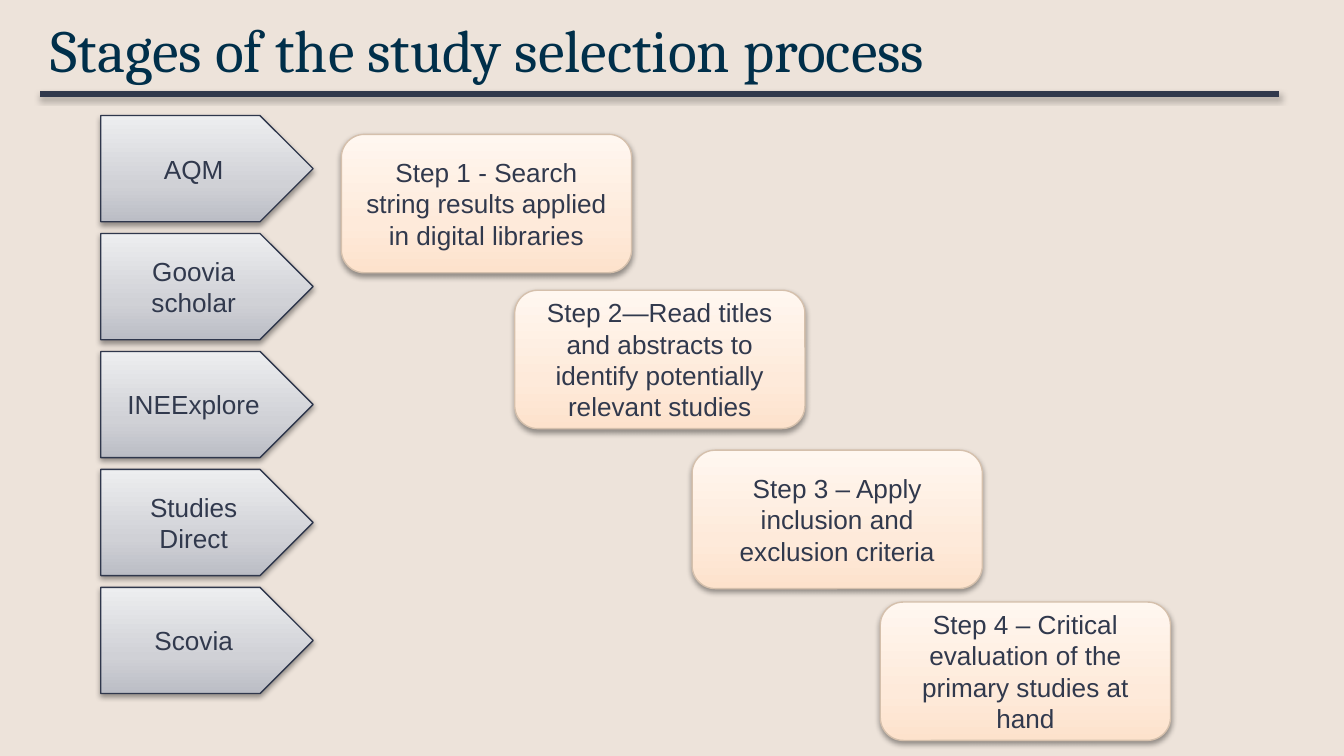
import pptx
import pptx.dml.color
import pptx.enum.shapes
import pptx.enum.text
import pptx.oxml.ns
import pptx.util
from lxml import etree

Inches = pptx.util.Inches
Pt = pptx.util.Pt
SHAPE = pptx.enum.shapes.MSO_SHAPE
ALIGN = pptx.enum.text.PP_ALIGN
qn = pptx.oxml.ns.qn

INK = "31394D"
# Gradient stops run from the bottom edge to the top edge
GREY_STOPS = [(0, "BBBDC5"), (35, "D0D1D6"), (100, "EDEEF0")]
PEACH_STOPS = [(0, "FDE2CC"), (35, "FEEADA"), (100, "FFF7F0")]


def colour(value):
    return pptx.dml.color.RGBColor.from_string(value)


def add_shadow(effects, opacity, distance):
    """Put a soft black shadow straight below the object."""
    shadow = etree.SubElement(
        effects, qn("a:outerShdw"), blurRad=str(Pt(3.1)), dist=str(Pt(distance)),
        dir="5400000", rotWithShape="0")
    black = etree.SubElement(shadow, qn("a:srgbClr"), val="000000")
    etree.SubElement(black, qn("a:alpha"), val=str(opacity * 1000))


def fill_gradient(shape, stops):
    shape.fill.gradient()
    shape.fill.gradient_angle = 90
    stop_list = shape._element.spPr.find(".//" + qn("a:gsLst"))
    for old_stop in list(stop_list):
        stop_list.remove(old_stop)
    for position, value in stops:
        stop = etree.SubElement(stop_list, qn("a:gs"), pos=str(position * 1000))
        etree.SubElement(stop, qn("a:srgbClr"), val=value)


def write_text(frame, lines, size, font, value, align):
    frame.word_wrap = True
    frame.vertical_anchor = pptx.enum.text.MSO_ANCHOR.MIDDLE
    for index, line in enumerate(lines):
        para = frame.paragraphs[0] if index == 0 else frame.add_paragraph()
        para.alignment = align
        span = para.add_run()
        span.text = line
        span.font.size = Pt(size)
        span.font.name = font
        span.font.color.rgb = colour(value)


def add_box(page, kind, left, top, width, height, stops, edge, lines):
    box = page.shapes.add_shape(
        kind, Inches(left), Inches(top), Inches(width), Inches(height))
    fill_gradient(box, stops)
    box.line.color.rgb = colour(edge)
    box.line.width = Pt(0.75)
    box.shadow.inherit = False
    add_shadow(box._element.spPr.find(qn("a:effectLst")), 38, 1.6)
    write_text(box.text_frame, lines, 14, "Arial", INK, ALIGN.CENTER)


def add_header(page, left, top, width, height):
    # Title
    title = page.shapes.add_textbox(
        Inches(left), Inches(top), Inches(width), Inches(height))
    frame = title.text_frame
    frame.margin_top = frame.margin_bottom = Inches(0.1)
    write_text(frame, ["Stages of the study selection process"],
               32, "Cambria", "002F4A", ALIGN.LEFT)

    # Rule under the title
    rule_y = Inches(top + 1.04)
    rule = page.shapes.add_connector(
        pptx.enum.shapes.MSO_CONNECTOR.STRAIGHT,
        Inches(left + 0.02), rule_y, Inches(left + 9.24), rule_y)
    rule.line.color.rgb = colour(INK)
    rule.line.width = Pt(3)
    effects = etree.SubElement(rule._element.spPr, qn("a:effectLst"))
    add_shadow(effects, 35, 1.8)


def add_sources(page, left, top, width, height):
    """Stack one arrow tag for each digital library."""
    sources = [["AQM"], ["Goovia scholar"], ["INEExplore"],
               ["Studies", "Direct"], ["Scovia"]]
    tag_height = 0.79
    pitch = (height - tag_height) / (len(sources) - 1)
    for index, lines in enumerate(sources):
        add_box(page, SHAPE.PENTAGON, left, top + index * pitch, width, tag_height,
                GREY_STOPS, "2F374C", lines)


def add_steps(page, left, top):
    """Place the selection steps as a staircase, offset from its top left."""
    steps = [
        (0, 0, "Step 1 - Search string results applied in digital libraries"),
        (1.29, 1.16, "Step 2—Read titles and abstracts to identify "
                     "potentially relevant studies"),
        (2.61, 2.35, "Step 3 – Apply inclusion and exclusion criteria"),
        (4.01, 3.48, "Step 4 – Critical evaluation of the primary studies at hand"),
    ]
    for across, down, text in steps:
        add_box(page, SHAPE.ROUNDED_RECTANGLE, left + across, top + down, 2.16, 1.03,
                PEACH_STOPS, "D5C0AC", [text])


def main():
    # Widescreen page, 16 to 9
    deck = pptx.Presentation()
    deck.slide_width = Inches(10)
    deck.slide_height = Inches(10) * 9 // 16
    page = deck.slides.add_slide(deck.slide_layouts[6])
    page.background.fill.solid()
    page.background.fill.fore_color.rgb = colour("EDE3DA")

    add_header(page, 0.28, -0.34, 9.23, 1.41)
    add_sources(page, 0.75, 0.86, 1.58, 4.3)
    add_steps(page, 2.54, 1)
    deck.save("out.pptx")


if __name__ == "__main__":
    main()
